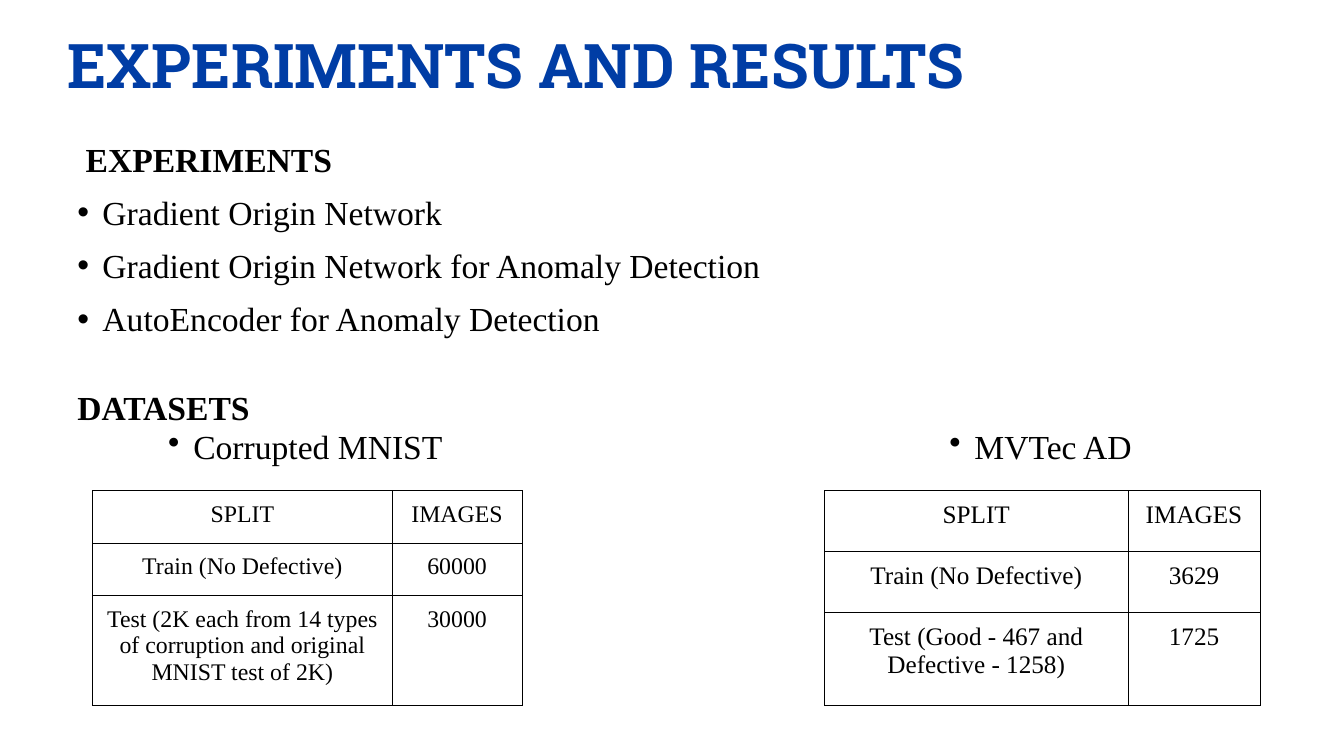
from lxml import etree
from pptx import Presentation
from pptx.dml.color import RGBColor
from pptx.enum import text
from pptx.oxml import ns
from pptx.util import Pt

COLORS = {"title": "003DA5", "ink": "000000"}
SERIF = "Times New Roman"
TITLE = "EXPERIMENTS AND RESULTS"
EXPERIMENTS = [
    "Gradient Origin Network",
    "Gradient Origin Network for Anomaly Detection",
    "AutoEncoder for Anomaly Detection",
]
DATASETS = [
    {
        "name": "Corrupted MNIST", "label_left": 113, "label_width": 212,
        "left": 66.24, "columns": [213.84, 92.88], "rows": [37.5, 37.5, 78.5], "size": 17,
        "cells": [
            ("SPLIT", "IMAGES"),
            ("Train (No Defective)", "60000"),
            ("Test (2K each from 14 types of corruption and original MNIST test of 2K)", "30000"),
        ],
    },
    {
        "name": "MVTec AD", "label_left": 671, "label_width": 181.5,
        "left": 589, "columns": [216.72, 94.32], "rows": [43.5, 43.5, 66.5], "size": 18,
        "cells": [
            ("SPLIT", "IMAGES"),
            ("Train (No Defective)", "3629"),
            ("Test (Good - 467 and Defective - 1258)", "1725"),
        ],
    },
]
LABEL_TOP, LABEL_HEIGHT, TABLE_TOP = 300.24, 41, 350.64
INSET = 7.2


def place(shape, left, top, width, height):
    shape.left, shape.top, shape.width, shape.height = map(Pt, (left, top, width, height))


def set_up(frame, side, vertical):
    frame.word_wrap = True
    frame.auto_size = text.MSO_AUTO_SIZE.NONE
    frame.vertical_anchor = text.MSO_ANCHOR.TOP
    frame.margin_left = frame.margin_right = Pt(side)
    frame.margin_top = frame.margin_bottom = Pt(vertical)


def add_span(para, words, size, bold=False, font=SERIF, color="ink"):
    span = para.add_run()
    span.text = words
    span.font.name, span.font.size, span.font.bold = font, Pt(size), bold
    span.font.color.rgb = RGBColor.from_string(COLORS[color])


def set_bullet(para, bulleted, indent=0):
    props = para._p.get_or_add_pPr()
    props.set("marL", str(Pt(18 if bulleted else indent)))
    props.set("indent", str(Pt(-18 if bulleted else 0)))
    if bulleted:
        tint = etree.SubElement(props, ns.qn("a:buClr"))
        etree.SubElement(tint, ns.qn("a:srgbClr"), val=COLORS["ink"])
        etree.SubElement(props, ns.qn("a:buChar"), char="•")
    else:
        etree.SubElement(props, ns.qn("a:buNone"))


def write_line(para, words, before=0, bulleted=False, indent=0):
    set_bullet(para, bulleted, indent)
    para.alignment = text.PP_ALIGN.JUSTIFY if bulleted else text.PP_ALIGN.LEFT
    para.line_spacing = 0.9
    para.space_before = Pt(before)
    add_span(para, words, 24, bold=not bulleted)


def add_borders(cell):
    props = cell._tc.get_or_add_tcPr()
    for side in ("lnL", "lnR", "lnT", "lnB"):
        line = etree.SubElement(props, ns.qn(f"a:{side}"), w=str(Pt(0.75)))
        fill = etree.SubElement(line, ns.qn("a:solidFill"))
        etree.SubElement(fill, ns.qn("a:srgbClr"), val=COLORS["ink"])


def add_dataset(page, data):
    """Add a dataset's bulleted name and the table of its splits."""
    box = page.shapes.add_textbox(*map(Pt, (data["label_left"], LABEL_TOP,
                                           data["label_width"], LABEL_HEIGHT)))
    set_up(box.text_frame, INSET, INSET)
    write_line(box.text_frame.paragraphs[0], data["name"], bulleted=True)

    rows, columns = data["rows"], data["columns"]
    table = page.shapes.add_table(
        len(rows), len(columns), Pt(data["left"]), Pt(TABLE_TOP),
        Pt(sum(columns)), Pt(sum(rows))).table
    table.first_row = table.horz_banding = False
    for column, width in zip(table.columns, columns):
        column.width = Pt(width)
    for row, height, values in zip(table.rows, rows, data["cells"]):
        row.height = Pt(height)
        for cell, value in zip(row.cells, values):
            cell.margin_left = cell.margin_right = Pt(INSET)
            cell.margin_top = cell.margin_bottom = Pt(INSET)
            cell.vertical_anchor = text.MSO_ANCHOR.TOP
            add_borders(cell)
            cell.fill.background()
            para = cell.text_frame.paragraphs[0]
            para.alignment = text.PP_ALIGN.CENTER
            add_span(para, value, data["size"])


def main():
    deck = Presentation()
    deck.slide_width, deck.slide_height = Pt(960), Pt(540)
    page = deck.slides.add_slide(deck.slide_layouts[1])

    title = page.shapes.title
    place(title, 48, 19.5, 951, 53.5)
    set_up(title.text_frame, 0, 0)
    heading = title.text_frame.paragraphs[0]
    heading.alignment = text.PP_ALIGN.LEFT
    add_span(heading, TITLE, 44, True, "Roboto Slab", "title")

    body = page.placeholders[1]
    place(body, 48, 98.64, 828, 422)
    frame = body.text_frame
    set_up(frame, INSET, 3.6)
    write_line(frame.paragraphs[0], "EXPERIMENTS", indent=6)
    for name in EXPERIMENTS:
        write_line(frame.add_paragraph(), name, before=12, bulleted=True)
    write_line(frame.add_paragraph(), "DATASETS", before=37.5)

    for data in DATASETS:
        add_dataset(page, data)
    deck.save("out.pptx")


if __name__ == "__main__":
    main()
